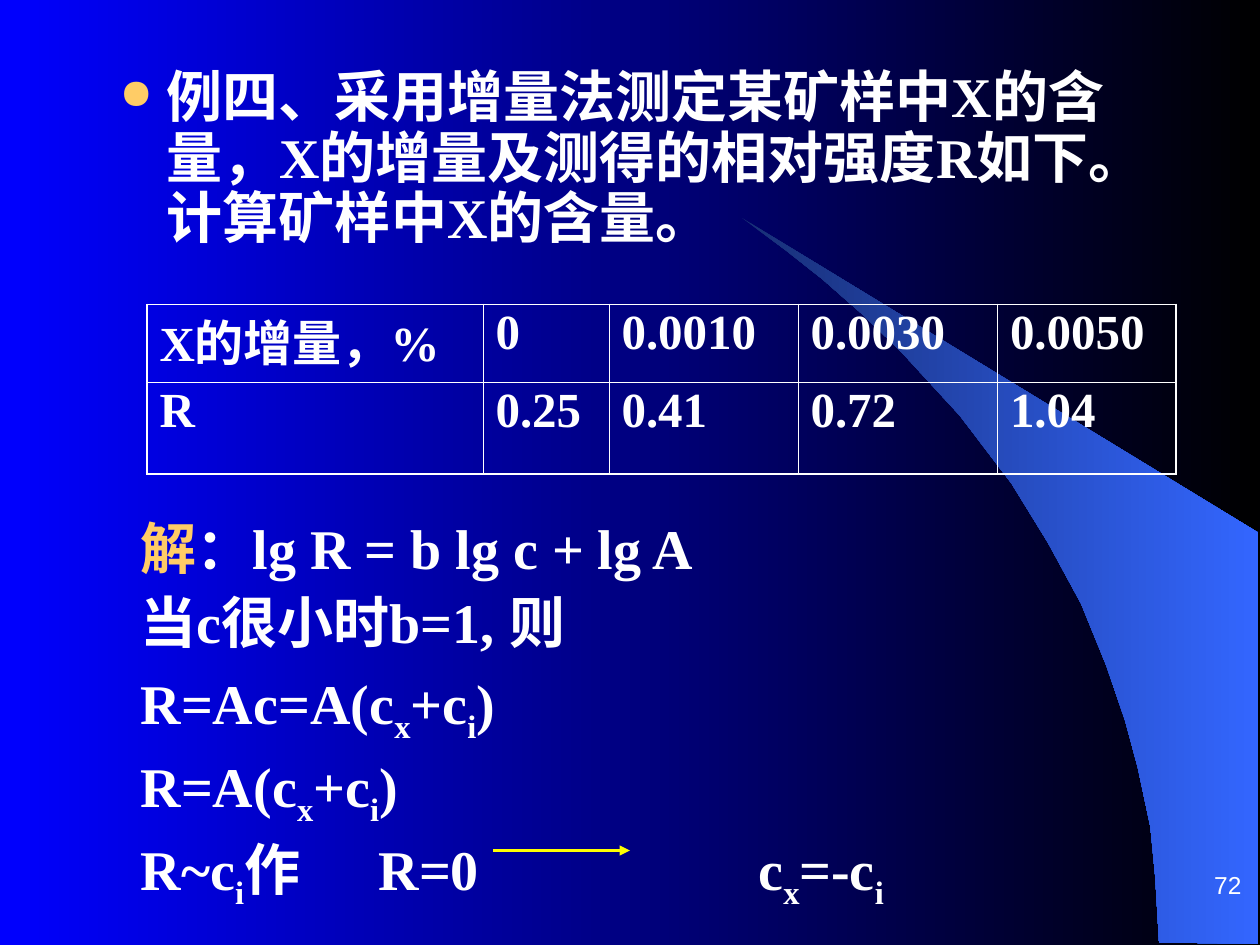
import pptx
import pptx.dml.color
import pptx.enum.text
import pptx.oxml
import pptx.oxml.ns
import pptx.util

Pt = pptx.util.Pt
ALIGN = pptx.enum.text.PP_ALIGN
ANCHOR = pptx.enum.text.MSO_ANCHOR
WHITE, GOLD = "FFFFFF", "FFCC66"
SERIF = "Times New Roman"

# Content
QUESTION = "例四、采用增量法测定某矿样中X的含量，X的增量及测得的相对强度R如下。计算矿样中X的含量。"
ROWS = [
    ["X的增量，%", "0", "0.0010", "0.0030", "0.0050"],
    ["R", "0.25", "0.41", "0.72", "1.04"],
]
COL_WIDTHS = [192, 72, 108, 114, 102]
ROW_HEIGHTS = [44.5, 52.5]
# Each line is a list of (text, style); "sub" is a subscript
SOLUTION = [
    [("解", "gold"), ("：lg R = b lg c + lg A", "")],
    [("当c很小时b=1, 则", "")],
    [("R=Ac=A(c", ""), ("x", "sub"), ("+c", ""), ("i", "sub"), (")", "")],
    [("R=A(c", ""), ("x", "sub"), ("+c", ""), ("i", "sub"), (")", "")],
    [("R~c", ""), ("i", "sub"), ("作\tR=0\tc", ""), ("x", "sub"), ("=-c", ""), ("i", "sub")],
]
TABS = [136, 353]
PAGE = "72"
SWOOSH = [
    (662.4, 538.6), (719.3, 539.3), (719.3, 304.6), (424.1, 124.6), (449.3, 143.3),
    (470.2, 159.8), (493.2, 180), (515.5, 201.6), (548.6, 237.6), (578.2, 276.5),
    (599, 310.3), (617.8, 344.9), (632.2, 380.2), (643, 411.8), (650.2, 438.5),
    (657.4, 472.3), (660.2, 501.1),
]


def rgb(value):
    return pptx.dml.color.RGBColor.from_string(value)


def add_xml(parent, text):
    ns = pptx.oxml.ns.nsdecls("a")
    tag, rest = text[1:].split(" ", 1)
    parent.append(pptx.oxml.parse_xml(f"<{tag} {ns} {rest}"))


def set_gradient(fill, *colors):
    fill.gradient()
    fill.gradient_angle = 0
    for stop, color in zip(fill.gradient_stops, colors):
        stop.color.rgb = rgb(color)


def add_run(p, text, size, color=WHITE, name=SERIF, bold=True):
    r = p.add_run()
    r.text = text
    for key, value in {"size": Pt(size), "name": name, "bold": bold}.items():
        setattr(r.font, key, value)
    r.font.color.rgb = rgb(color)
    return r


def add_box(s, left, top, width, height, **settings):
    tf = s.shapes.add_textbox(Pt(left), Pt(top), Pt(width), Pt(height)).text_frame
    base = {"word_wrap": True, "margin_left": Pt(14.4), "margin_right": Pt(14.4)}
    for key, value in {**base, **settings}.items():
        setattr(tf, key, value)
    return tf


prs = pptx.Presentation()
prs.slide_width, prs.slide_height = Pt(720), Pt(540)
s = prs.slides.add_slide(prs.slide_layouts[6])
set_gradient(s.background.fill, "0000FF", "000000")

# Curved swoosh
points = [(Pt(x), Pt(y)) for x, y in SWOOSH]
builder = s.shapes.build_freeform(*points[0])
builder.add_line_segments(points[1:], close=True)
sp = builder.convert_to_shape()
sp.shadow.inherit = False
sp.line.fill.background()
set_gradient(sp.fill, "182F76", "3366FF")

# Page number
tf = add_box(s, 566.5, 484, 150, 30, vertical_anchor=ANCHOR.BOTTOM, margin_left=Pt(7.2),
             margin_right=Pt(7.2), margin_top=0, margin_bottom=0)
p = tf.paragraphs[0]
p.alignment = ALIGN.RIGHT
add_run(p, PAGE, 14, name="Arial", bold=False)

# Question with bullet
p = add_box(s, 54, 36, 612, 138).paragraphs[0]
p.line_spacing = 0.9
pPr = p._p.get_or_add_pPr()
pPr.set("marL", str(Pt(27)))
pPr.set("indent", str(Pt(-27)))
add_xml(pPr, f'<a:buClr ><a:srgbClr val="{GOLD}"/></a:buClr>')
add_xml(pPr, '<a:buSzPct val="75000"/>')
add_xml(pPr, '<a:buChar char="●"/>')
add_run(p, QUESTION, 32)

# Data table
table = s.shapes.add_table(len(ROWS), len(COL_WIDTHS), Pt(84), Pt(174),
                           Pt(sum(COL_WIDTHS)), Pt(sum(ROW_HEIGHTS))).table
table.first_row = table.horz_banding = False
for column, width in zip(table.columns, COL_WIDTHS):
    column.width = Pt(width)
for i, (height, texts) in enumerate(zip(ROW_HEIGHTS, ROWS)):
    table.rows[i].height = Pt(height)
    for j, text in enumerate(texts):
        cell = table.cell(i, j)
        outer = {"L": j == 0, "R": j == len(texts) - 1, "T": i == 0, "B": i == len(ROWS) - 1}
        for side, is_outer in outer.items():
            width = Pt(1.08 if is_outer else 0.45)
            add_xml(cell._tc.get_or_add_tcPr(),
                    f'<a:ln{side} w="{width}"><a:solidFill><a:srgbClr val="{WHITE}"/>'
                    f'</a:solidFill></a:ln{side}>')
        cell.fill.background()
        p = cell.text_frame.paragraphs[0]
        p.line_spacing = 0.9
        add_run(p, text, 28)

# Solution
tf = add_box(s, 66, 294, 612, 204)
for i, line in enumerate(SOLUTION):
    p = tf.add_paragraph() if i else tf.paragraphs[0]
    p.line_spacing = 0.9
    if i:
        p.space_before = Pt(8)
    if any("\t" in text for text, _ in line):
        stops = "".join(f'<a:tab pos="{Pt(x)}" algn="l"/>' for x in TABS)
        add_xml(p._p.get_or_add_pPr(), f"<a:tabLst >{stops}</a:tabLst>")
    for text, style in line:
        r = add_run(p, text, 32, GOLD if style == "gold" else WHITE)
        if style == "sub":
            r._r.get_or_add_rPr().set("baseline", "-25000")

# Arrow to the result
arrow = s.shapes.add_connector(1, Pt(282), Pt(486), Pt(360), Pt(486))
arrow.line.color.rgb = rgb("FFFF00")
arrow.line.width = Pt(1.5)
add_xml(arrow.line._get_or_add_ln(), '<a:tailEnd type="triangle"/>')
add_xml(arrow._element.spPr, "<a:effectLst />")

prs.save("out.pptx")
